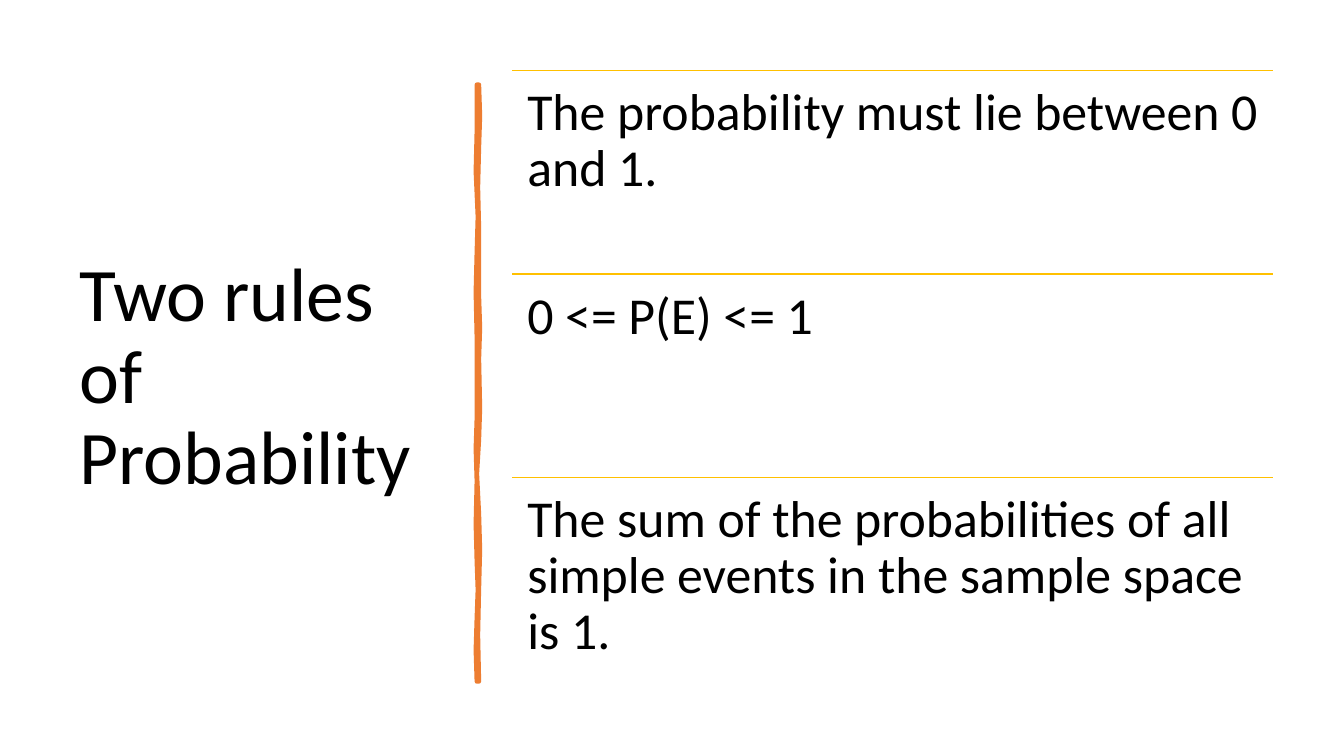
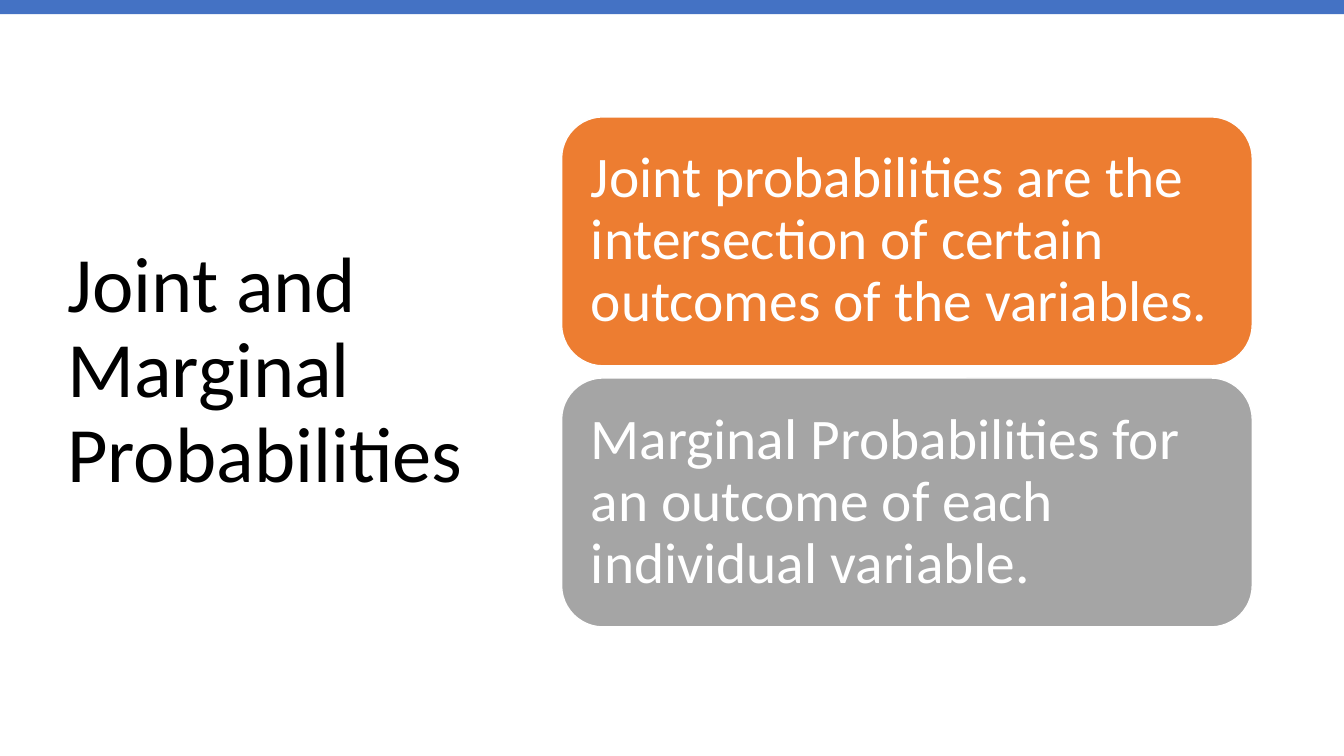
from lxml.etree import SubElement
from pptx import Presentation
from pptx.dml.color import RGBColor
from pptx.enum.shapes import MSO_CONNECTOR, MSO_SHAPE
from pptx.enum.text import MSO_ANCHOR, PP_ALIGN
from pptx.oxml.ns import qn
from pptx.util import Inches, Pt

FONT = "Calibri"
BLACK, WHITE = "000000", "FFFFFF"
BLUE, ORANGE, GREY, GOLD = "4472C4", "ED7D31", "A5A5A5", "FFC000"
WIDTH, HEIGHT = 13.33, 7.5

RULES_TITLE = "Two rules of Probability"
RULES = [
    "The probability must lie between 0 and 1.",
    "0 <= P(E) <= 1",
    "The sum of the probabilities of all simple events in the sample space is 1.",
]
KINDS_TITLE = "Joint and Marginal Probabilities"
KINDS = [
    ("Joint probabilities are the intersection of certain outcomes of the variables.", ORANGE),
    ("Marginal Probabilities for an outcome of each individual variable.", GREY),
]
# Hand-drawn divider: down the right edge, then up the left one
DIVIDER = [
    (4.75, 0.84), (4.76, 1.15), (4.75, 1.46), (4.74, 1.86), (4.75, 2.26), (4.75, 2.94),
    (4.76, 3.25), (4.75, 3.56), (4.76, 4.05), (4.75, 4.36), (4.73, 4.7), (4.75, 5.1),
    (4.76, 5.45), (4.75, 5.84), (4.74, 6.3), (4.75, 6.76),
    (4.73, 6.76), (4.72, 6.45), (4.73, 6.13), (4.74, 5.85), (4.73, 5.57), (4.72, 5.2),
    (4.73, 4.77), (4.72, 4.45), (4.73, 4.15), (4.73, 3.35), (4.72, 2.9), (4.73, 2.5),
    (4.74, 2.15), (4.72, 1.7), (4.73, 1.3), (4.73, 0.84),
]


def rgb(color):
    return RGBColor.from_string(color)


def style_shape(sp, fill, line=None, width=1):
    sp.shadow.inherit = False
    sp.fill.solid()
    sp.fill.fore_color.rgb = rgb(fill)
    if line:
        sp.line.color.rgb = rgb(line)
        sp.line.width = Pt(width)
    else:
        sp.line.fill.background()


def write(sp, text, size, color=BLACK, anchor=MSO_ANCHOR.MIDDLE, inset=(0.1, 0.05)):
    """Fill a shape with one left-aligned paragraph; inset is (sides, top and bottom)."""
    tf = sp.text_frame
    tf.word_wrap = True
    tf.vertical_anchor = anchor
    tf.margin_left = tf.margin_right = Inches(inset[0])
    tf.margin_top = tf.margin_bottom = Inches(inset[1])
    p = tf.paragraphs[0]
    p.alignment = PP_ALIGN.LEFT
    p.line_spacing = 0.9
    r = p.add_run()
    r.text = text
    r.font.name = FONT
    r.font.size = Pt(size)
    r.font.color.rgb = rgb(color)


def add_text(s, box, text, size, **options):
    write(s.shapes.add_textbox(*map(Inches, box)), text, size, **options)


def add_rule_line(s, left, top, width):
    line = s.shapes.add_connector(MSO_CONNECTOR.STRAIGHT, Inches(left), Inches(top),
                                  Inches(left + width), Inches(top))
    line.line.color.rgb = rgb(GOLD)
    line.line.width = Pt(1)
    SubElement(line._element.spPr, qn("a:effectLst"))


def add_divider(s):
    points = [(Inches(x), Inches(y)) for x, y in DIVIDER]
    builder = s.shapes.build_freeform(*points[0])
    builder.add_line_segments(points[1:], close=True)
    sp = builder.convert_to_shape()
    style_shape(sp, ORANGE, ORANGE, 3.25)
    SubElement(sp.line._get_or_add_ln(), qn("a:round"))


def build_rules(s):
    add_text(s, (0.69, 0.7, 3.74, 6.11), RULES_TITLE, 54)
    add_divider(s)
    left, top, width, row = 5.08, 0.7, 7.55, 2.02
    for i, rule in enumerate(RULES):
        y = top + i * row
        add_rule_line(s, left, y, width)
        add_text(s, (left, y, width, row), rule, 37, anchor=MSO_ANCHOR.TOP, inset=(0.15, 0.15))


def build_kinds(s):
    add_text(s, (0.57, 0.68, 4.16, 6.02), KINDS_TITLE, 56)
    band = s.shapes.add_shape(MSO_SHAPE.RECTANGLE, 0, 0, Inches(WIDTH), Inches(0.14))
    style_shape(band, BLUE)
    left, top, width, height, gap = 5.57, 1.16, 6.85, 2.47, 0.12
    for i, (text, fill) in enumerate(KINDS):
        box = (left, top + i * (height + gap), width, height)
        card = s.shapes.add_shape(MSO_SHAPE.ROUNDED_RECTANGLE, *map(Inches, box))
        style_shape(card, fill, WHITE)
        # The preset already keeps text clear of its rounded corners by 0.12
        write(card, text, 41, color=WHITE, inset=(0.17, 0.17))


def main():
    prs = Presentation()
    prs.slide_width, prs.slide_height = Inches(WIDTH), Inches(HEIGHT)
    for build in (build_rules, build_kinds):
        build(prs.slides.add_slide(prs.slide_layouts[6]))
    prs.save("out.pptx")


if __name__ == "__main__":
    main()
